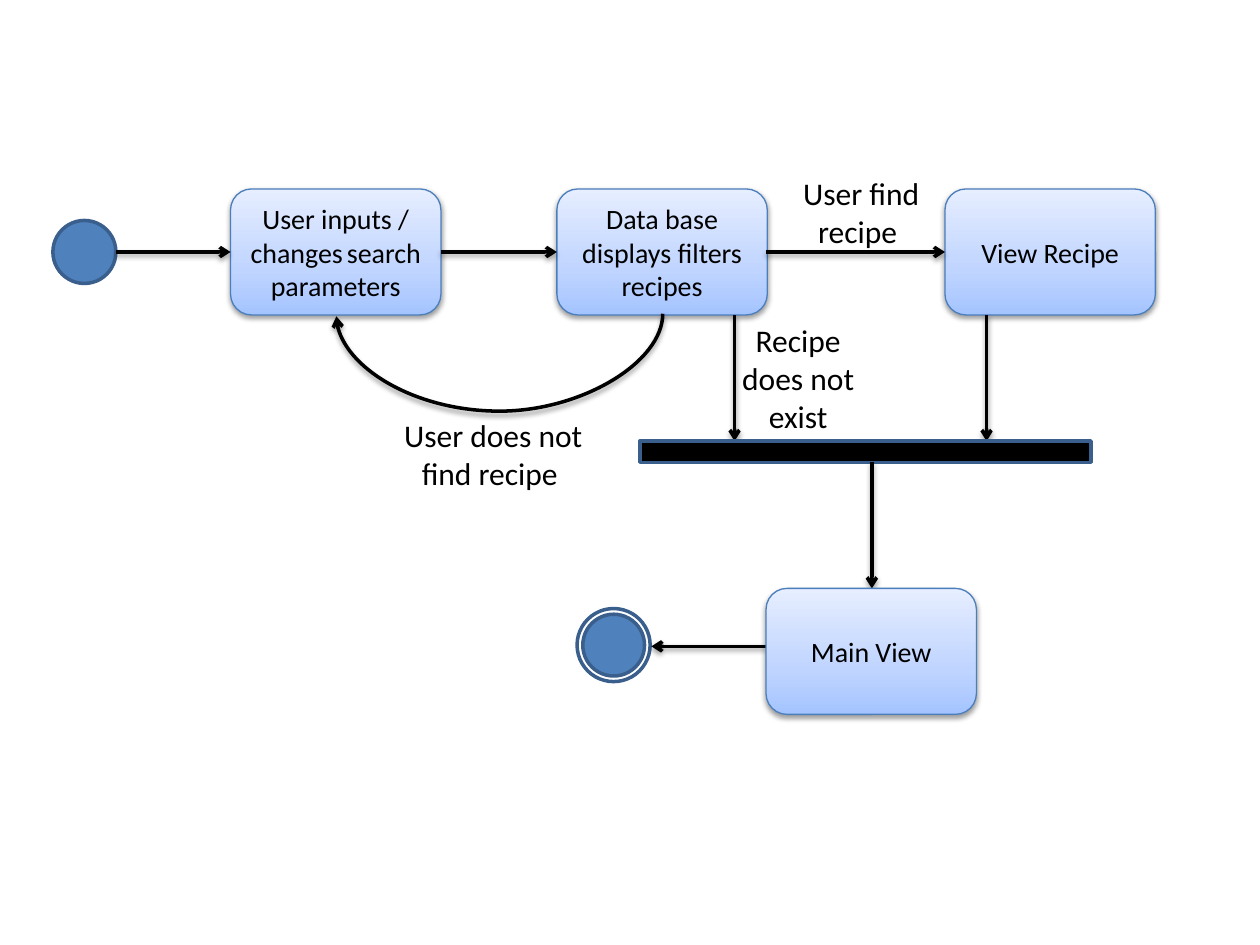
from copy import deepcopy
from lxml.etree import SubElement as Sub
from pptx import Presentation
from pptx.dml.color import RGBColor
from pptx.enum.shapes import MSO_CONNECTOR as Conn, MSO_SHAPE as Kind
from pptx.enum.text import MSO_ANCHOR as Anchor, MSO_AUTO_SIZE as Auto, PP_ALIGN as Align
from pptx.oxml.ns import qn
from pptx.util import Inches, Pt

BLACK = RGBColor(0x00, 0x00, 0x00)
BLUE = RGBColor(0x4F, 0x81, 0xBD)
NAVY = RGBColor(0x3A, 0x5F, 0x8C)
EDGE = RGBColor(0x4B, 0x7E, 0xBC)
DEEP = RGBColor(0xA4, 0xC4, 0xFF)
MID = RGBColor(0xBF, 0xD4, 0xFF)
PALE = RGBColor(0xE6, 0xEE, 0xFF)

BOX_W, BOX_H = 1.67, 1
ROW = 1.5
AXIS = ROW + BOX_H / 2
BASE = ROW + BOX_H
BAR_Y, BAR_H = 3.5, 0.17
MAIN_X, MAIN_Y = 6.08, 4.67
MAIN_MID = 6.92


class Flow:
    font = "Calibri"
    box_size, note_size = 16, 18
    stops = ((0, DEEP), (0.35, MID), (1, PALE))

    def __init__(self, slide):
        self.slide = slide

    def shape(self, kind, x, y, w, h, fill=None, line=NAVY, width=2):
        item = self.slide.shapes.add_shape(kind, *map(Inches, (x, y, w, h)))
        if fill is None:
            item.fill.background()
        else:
            item.fill.solid()
            item.fill.fore_color.rgb = fill
        item.line.color.rgb = line
        item.line.width = Pt(width)
        item.shadow.inherit = False
        return item

    def shade(self, item):
        props = item._element.spPr
        glow = props.find(qn("a:effectLst"))
        if glow is None:
            glow = Sub(props, qn("a:effectLst"))
        drop = Sub(glow, qn("a:outerShdw"), blurRad=str(Pt(3.1)), dist=str(Pt(1.6)),
                   dir="5400000", rotWithShape="0")
        tone = Sub(drop, qn("a:srgbClr"), val=str(BLACK))
        Sub(tone, qn("a:alpha"), val="38000")

    def blend(self, item):
        item.fill.gradient()
        item.fill.gradient_angle = 90
        stack = item._element.spPr.find(qn("a:gradFill")).find(qn("a:gsLst"))
        stack.append(deepcopy(stack[0]))
        for stop, (place, tone) in zip(item.fill.gradient_stops, self.stops):
            stop.position = place
            stop.color.rgb = tone

    def text(self, frame, runs):
        frame.word_wrap = True
        para = frame.paragraphs[0]
        para.alignment = Align.CENTER
        for words, size in runs:
            run = para.add_run()
            run.text = words
            run.font.name = self.font
            run.font.size = Pt(size)
            run.font.color.rgb = BLACK

    def box(self, x, y, *runs):
        item = self.shape(Kind.ROUNDED_RECTANGLE, x, y, BOX_W, BOX_H, PALE, EDGE, 0.75)
        self.blend(item)
        self.shade(item)
        item.text_frame.vertical_anchor = Anchor.MIDDLE
        self.text(item.text_frame, runs)

    def note(self, x, y, w, h, words):
        item = self.slide.shapes.add_textbox(*map(Inches, (x, y, w, h)))
        self.text(item.text_frame, [(words, self.note_size)])
        item.text_frame.auto_size = Auto.SHAPE_TO_FIT_TEXT

    def arrow(self, x1, y1, x2, y2, kind=Conn.STRAIGHT):
        item = self.slide.shapes.add_connector(kind, *map(Inches, (x1, y1, x2, y2)))
        item.line.color.rgb = BLACK
        item.line.width = Pt(2)
        Sub(item._element.spPr.find(qn("a:ln")), qn("a:tailEnd"), type="arrow")
        self.shade(item)
        return item

    def loop(self, left, right, y, depth):
        mid, half, gap = (left + right) / 2, (right - left) / 2, 0.02
        item = self.arrow(mid - gap / 2, y - half, mid + gap / 2, y + half, Conn.CURVE)
        props = item._element.spPr
        props.find(qn("a:xfrm")).set("rot", "5400000")
        form = props.find(qn("a:prstGeom"))
        marks = form.find(qn("a:avLst"))
        if marks is None:
            marks = Sub(form, qn("a:avLst"))
        Sub(marks, qn("a:gd"), name="adj1", fmla=f"val {round(depth / gap * 100000)}")

    def dot(self, x, y, size, fill=None):
        self.shape(Kind.OVAL, x - size / 2, y - size / 2, size, size, fill)


def main():
    deck = Presentation()
    deck.slide_width, deck.slide_height = Inches(10), Inches(7.5)
    flow = Flow(deck.slides.add_slide(deck.slide_layouts[6]))
    big = flow.box_size

    flow.dot(0.67, AXIS, 0.5, BLUE)
    flow.box(1.83, ROW, ("User inputs / changes", big), (" ", 10), ("search parameters", big))
    flow.box(4.42, ROW, ("Data base displays filters recipes", big))
    flow.box(7.5, ROW, ("View Recipe", big))
    for start, end in ((0.92, 1.83), (3.5, 4.42), (6.08, 7.5)):
        flow.arrow(start, AXIS, end, AXIS)
    flow.loop(2.67, 5.26, BASE, 0.77)
    for x in (5.83, 7.83):
        flow.arrow(x, BASE, x, BAR_Y)
    flow.shape(Kind.RECTANGLE, 5.08, BAR_Y, 3.58, BAR_H, BLACK)
    flow.note(6.17, 1.33, 1.33, 0.71, "User find recipe ")
    flow.note(5.67, 2.5, 1.33, 1.01, "Recipe does not exist")
    flow.note(3.08, 3.25, 1.67, 0.71, "User does not find recipe ")

    flow.arrow(MAIN_MID, BAR_Y + BAR_H, MAIN_MID, MAIN_Y)
    flow.dot(4.87, 5.12, 0.49, BLUE)
    flow.dot(4.87, 5.12, 0.58)
    flow.arrow(MAIN_X, 5.13, 5.17, 5.13)
    flow.box(MAIN_X, MAIN_Y, ("Main View", big))
    deck.save("out.pptx")


if __name__ == "__main__":
    main()
